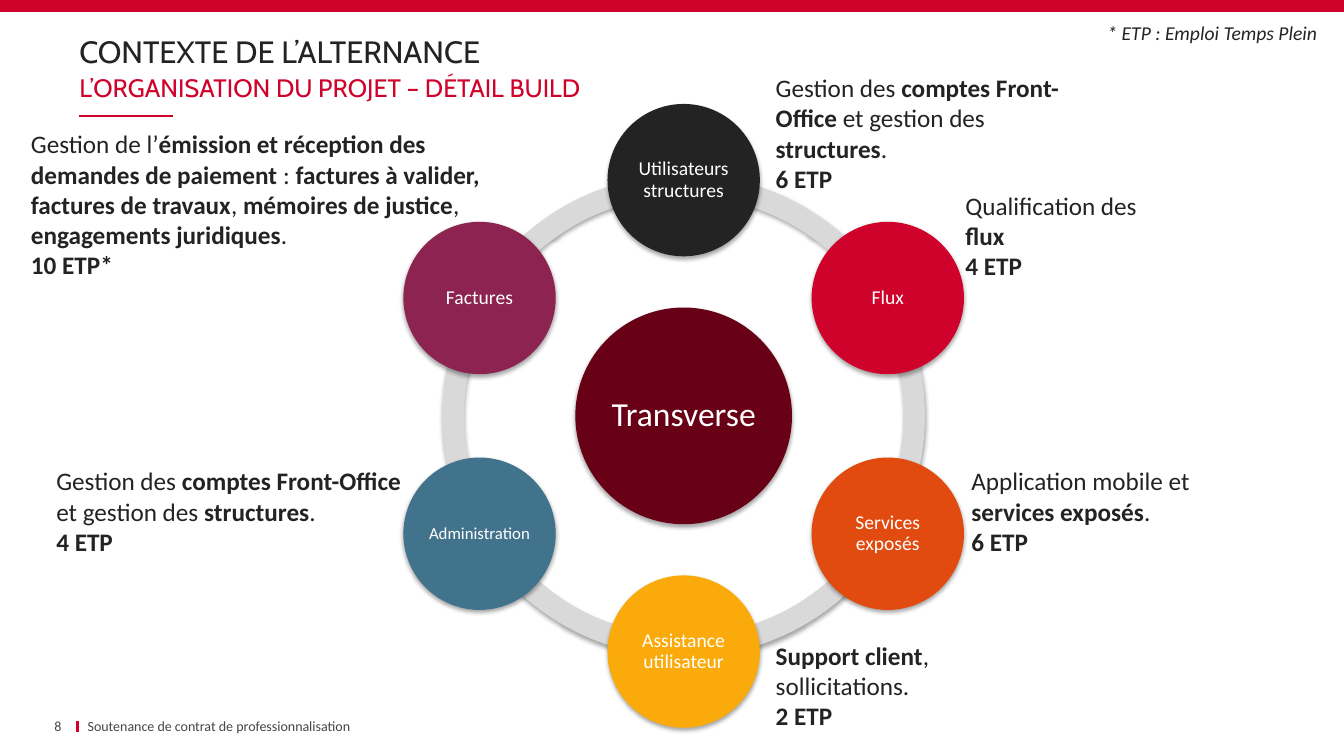
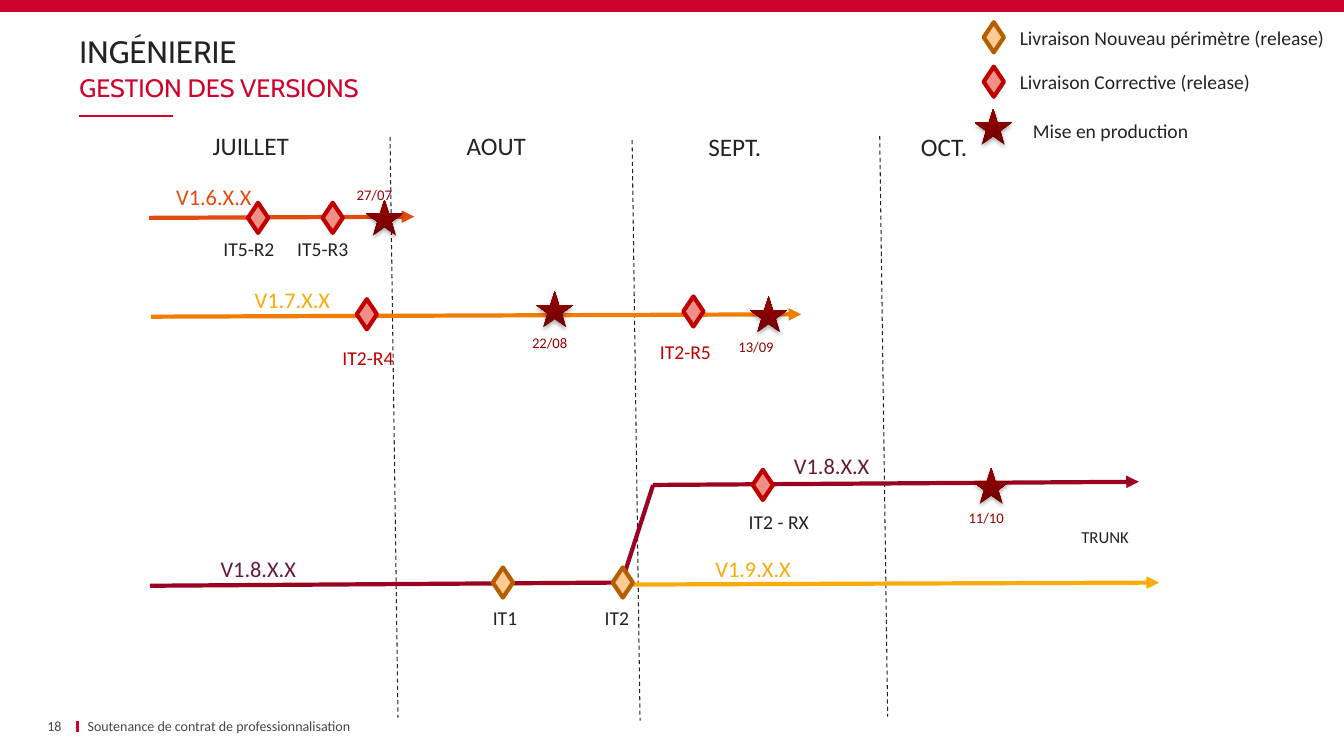
from math import cos, radians, sin

from lxml.etree import SubElement
from pptx import Presentation
from pptx.dml.color import RGBColor
from pptx.enum.dml import MSO_LINE
from pptx.enum.shapes import MSO_CONNECTOR, MSO_SHAPE
from pptx.enum.text import MSO_ANCHOR, MSO_AUTO_SIZE, PP_ALIGN
from pptx.oxml.ns import qn
from pptx.util import Cm, Pt

RED, DARK, GREY, WHITE = "CF022B", "232323", "464646", "FFFFFF"
ORANGE, AMBER, BURGUNDY, PLUM = "E14B0F", "FAAA0A", "9B0120", "691A3C"
CORRECTIVE_LINE, DATE_RED = "C00000", "960000"
HEADING_FONT, TEXT_FONT = "Cabin", "Calibri"


def color(value):
    """Turn a hex string into a colour."""
    return RGBColor.from_string(value)


class Deck:
    """Holds the presentation, its style and the current slide."""

    def __init__(self):
        self.presentation = Presentation()
        self.presentation.slide_width = Cm(33.87)
        self.presentation.slide_height = Cm(19.05)
        self.slide = None

    def new_slide(self, title, subtitle, number):
        """Start a slide with the shared band, headings and footer."""
        layout = self.presentation.slide_layouts[1]
        self.slide = self.presentation.slides.add_slide(layout)
        self.shape(MSO_SHAPE.RECTANGLE, 0, 0, 33.87, 0.3, RED)
        self.line((1.96, 18.16), (1.96, 18.44), RED, 2.25)
        self.line((2, 2.92), (4.37, 2.92), RED, 1)
        heading = self.slide.shapes.title
        self.heading(heading, title, 0.89, 0.91, 22, DARK)
        heading.text_frame.paragraphs[0].line_spacing = 0.9
        body = self.slide.placeholders[1]
        self.heading(body, subtitle, 1.83, 0.76, 18, RED)
        properties = body.text_frame.paragraphs[0]._p.get_or_add_pPr()
        properties.set("marL", "0")
        properties.set("indent", "0")
        SubElement(properties, qn("a:buNone"))
        footer = self.text([["Soutenance de contrat de professionnalisation"]],
                           1.96, 18.06, 16.84, 0.46, 10, GREY)
        page = self.text([[number]], 0.46, 18.06, 1.09, 0.46, 10, GREY)
        page.text_frame.margin_left = page.text_frame.margin_right = 0
        page.text_frame.paragraphs[0].alignment = PP_ALIGN.RIGHT
        for shape in (footer, page):
            shape.text_frame.vertical_anchor = MSO_ANCHOR.MIDDLE

    def run(self, paragraph, text, size, tint, font=TEXT_FONT, bold=False, italic=False):
        """Add one formatted run."""
        run = paragraph.add_run()
        run.text = text
        run.font.name = font
        run.font.size = Pt(size)
        run.font.bold = bold
        run.font.italic = italic
        run.font.color.rgb = color(tint)

    def heading(self, shape, text, top, height, size, tint):
        """Move and fill a heading placeholder."""
        shape.left, shape.top = Cm(2), Cm(top)
        shape.width, shape.height = Cm(29.8), Cm(height)
        frame = shape.text_frame
        frame.auto_size = MSO_AUTO_SIZE.NONE
        frame.vertical_anchor = MSO_ANCHOR.MIDDLE
        frame.margin_left = frame.margin_right = 0
        paragraph = frame.paragraphs[0]
        paragraph.alignment = PP_ALIGN.LEFT
        paragraph.space_before = Pt(0)
        self.run(paragraph, text, size, tint, HEADING_FONT)

    def text(self, lines, left, top, width, height, size, tint=DARK, italic=False):
        """Add a text box whose lines alternate plain and bold runs."""
        box = self.slide.shapes.add_textbox(Cm(left), Cm(top), Cm(width), Cm(height))
        frame = box.text_frame
        frame.word_wrap = True
        for index, parts in enumerate(lines):
            paragraph = frame.add_paragraph() if index else frame.paragraphs[0]
            for position, part in enumerate(parts):
                if part:
                    self.run(paragraph, part, size, tint, bold=position % 2 == 1, italic=italic)
        return box

    def labels(self, items, width, height, size, tint=DARK):
        """Add a family of one-line labels."""
        for text, left, top in items:
            self.text([[text]], left, top, width, height, size, tint)

    def shape(self, kind, left, top, width, height, fill=None):
        """Add a preset shape without line or shadow."""
        shape = self.slide.shapes.add_shape(kind, Cm(left), Cm(top), Cm(width), Cm(height))
        shape.shadow.inherit = False
        shape.line.fill.background()
        if fill:
            shape.fill.solid()
            shape.fill.fore_color.rgb = color(fill)
        return shape

    def shade(self, shape):
        """Give a shape the soft shadow below it."""
        effects = shape._element.spPr.find(qn("a:effectLst"))
        shadow = SubElement(effects, qn("a:outerShdw"), blurRad="40000", dist="23000",
                            dir="5400000", rotWithShape="0")
        black = SubElement(shadow, qn("a:srgbClr"), val="000000")
        SubElement(black, qn("a:alpha"), val="35000")

    def disc(self, text, center, diameter, fill, size):
        """Add a shaded disc with centred text."""
        left, top = (value - diameter / 2 for value in center)
        shape = self.shape(MSO_SHAPE.OVAL, left, top, diameter, diameter, fill)
        self.shade(shape)
        frame = shape.text_frame
        frame.word_wrap = True
        frame.vertical_anchor = MSO_ANCHOR.MIDDLE
        frame.margin_left = frame.margin_right = Cm(0.05)
        frame.margin_top = frame.margin_bottom = Cm(0.05)
        paragraph = frame.paragraphs[0]
        paragraph.alignment = PP_ALIGN.CENTER
        paragraph.line_spacing = 0.9
        self.run(paragraph, text, size, WHITE)

    def line(self, start, end, tint, width=3, arrow=False, dashed=False):
        """Add a straight line or arrow."""
        points = [Cm(value) for value in (*start, *end)]
        connector = self.slide.shapes.add_connector(MSO_CONNECTOR.STRAIGHT, *points)
        connector.line.color.rgb = color(tint)
        connector.line.width = Pt(width)
        if dashed:
            connector.line.dash_style = MSO_LINE.DASH
        if arrow:
            SubElement(connector.line._get_or_add_ln(), qn("a:tailEnd"), type="triangle")
        SubElement(connector._element.spPr, qn("a:effectLst"))

    def diamond(self, left, top, fill, outline):
        """Add a delivery marker."""
        shape = self.shape(MSO_SHAPE.FLOWCHART_DECISION, left, top, 0.51, 0.76, fill)
        shape.line.color.rgb = color(outline)
        shape.line.width = Pt(3)

    def star(self, left, top):
        """Add a production marker."""
        shape = self.shape(MSO_SHAPE.STAR_5_POINT, left, top, 0.94, 0.91)
        shape.fill.gradient()
        shape.fill.gradient_angle = 90
        stops = zip(shape.fill.gradient_stops, (0, 0.8), ("700000", "910000"))
        for stop, position, tint in stops:
            stop.position = position
            stop.color.rgb = color(tint)
        self.shade(shape)


def build_organisation(deck):
    """Build the ring of project teams."""
    deck.new_slide("CONTEXTE DE L’ALTERNANCE", "L’ORGANISATION DU PROJET – DÉTAIL BUILD", "8")
    center_x, center_y, orbit, ring_size = 17.23, 10.48, 5.94, 12.16
    ring = deck.shape(MSO_SHAPE.DONUT, center_x - ring_size / 2, center_y - ring_size / 2,
                      ring_size, ring_size, "D9D9D9")
    ring.adjustments[0] = 0.045
    deck.shade(ring)
    deck.disc("Transverse", (center_x, center_y), 5.46, "680115", 24)
    teams = [
        ("Utilisateurs structures", DARK, 14),
        ("Flux", RED, 14),
        ("Services exposés", ORANGE, 14),
        ("Assistance utilisateur", AMBER, 14),
        ("Administration", "41738C", 12),
        ("Factures", "8C2350", 14),
    ]
    for index, (name, fill, size) in enumerate(teams):
        angle = radians(360 / len(teams) * index)
        center = (center_x + orbit * sin(angle), center_y - orbit * cos(angle))
        deck.disc(name, center, 3.84, fill, size)

    accounts = ["Gestion des ", "comptes Front-Office ", "et gestion des ", "structures", "."]
    invoices = ["Gestion de l’", "émission et réception des demandes de paiement", " : ",
                "factures à valider, factures de travaux", ", ", "mémoires de justice", ", ",
                "engagements juridiques", "."]
    captions = [
        (accounts, "6 ETP", 19.3, 1.7, 7.8, 3.32),
        (["Qualification des ", "flux"], "4 ETP", 24.08, 4.67, 5.2, 2.56),
        (["Application mobile et ", "services exposés", "."], "6 ETP", 24.23, 11.61, 6.8, 2.56),
        (["", "Support client", ", sollicitations."], "2 ETP", 19.3, 16, 7.06, 2.56),
        (accounts, "4 ETP", 1.17, 11.61, 9.37, 2.56),
        (invoices, "10 ETP*", 0.53, 3.12, 12.67, 4.1),
    ]
    for role, staff, *box in captions:
        deck.text([role, ["", staff]], *box, 18)
    deck.text([["* ETP : Emploi Temps Plein"]], 27.66, 0.41, 6.2, 0.86, 14, italic=True)


def build_versions(deck):
    """Build the timeline of versions."""
    deck.new_slide("INGÉNIERIE", "GESTION DES VERSIONS", "18")
    for left, top in [(9.83, 3.45), (15.93, 3.53), (22.17, 3.43)]:
        deck.line((left, top), (left + 0.2, top + 14.63), DARK, 0.75, dashed=True)
    fork = (16.46, 12.22)
    branches = [
        ((3.76, 5.49), (10.44, 5.46), ORANGE, True),
        ((3.81, 7.98), (20.19, 7.92), "F07D00", True),
        ((3.78, 14.76), (15.54, 14.68), BURGUNDY, False),
        (fork, (15.67, 14.66), BURGUNDY, False),
        (fork, (28.7, 12.14), BURGUNDY, True),
        ((15.93, 14.73), (29.21, 14.68), AMBER, True),
    ]
    for start, end, tint, arrow in branches:
        deck.line(start, end, tint, arrow=arrow)

    deck.labels([("JUILLET", 5.11, 3.15), ("AOUT", 11.51, 3.15),
                 ("SEPT.", 17.6, 3.18), ("OCT.", 22.96, 3.18)], 3.9, 1.27, 18)
    versions = [
        (ORANGE, [("V1.6.X.X", 4.19, 4.5)]),
        (AMBER, [("V1.7.X.X", 6.17, 7.09), ("V1.9.X.X", 17.78, 13.87)]),
        (PLUM, [("V1.8.X.X", 5.31, 13.87), ("V1.8.X.X", 19.76, 11.28)]),
    ]
    for tint, items in versions:
        deck.labels(items, 2.6, 0.94, 16, tint)
    deck.labels([("IT5-R2", 5.38, 5.84), ("IT5-R3", 7.24, 5.84), ("IT2 - RX", 18.62, 12.73),
                 ("IT1", 12.17, 15.14), ("IT2", 14.99, 15.14)], 2.2, 0.86, 14)
    deck.labels([("IT2-R4", 8.38, 8.59), ("IT2-R5", 16.38, 8.43)],
                2.2, 0.86, 14, CORRECTIVE_LINE)
    deck.labels([("27/07", 8.74, 4.55), ("22/08", 13.16, 8.28),
                 ("13/09", 18.36, 8.38), ("11/10", 24.16, 12.7)], 1.7, 0.71, 10.5, DATE_RED)
    deck.labels([("TRUNK", 27, 13.16)], 2.2, 0.76, 12)
    deck.labels([("Livraison Nouveau périmètre (release)", 25.45, 0.53),
                 ("Livraison Corrective (release)", 25.45, 1.63),
                 ("Mise en production", 25.78, 2.87)], 8.4, 0.86, 14)

    for position in [(24.79, 0.56), (12.42, 14.3), (15.44, 14.3)]:
        deck.diamond(*position, "FFCB93", "B45E00")
    for position in [(24.79, 1.68), (6.25, 5.11), (8.13, 5.11), (8.99, 7.54),
                     (17.22, 7.47), (18.97, 11.84)]:
        deck.diamond(*position, "F08F88", CORRECTIVE_LINE)
    for position in [(24.56, 2.74), (9.22, 5.03), (13.51, 7.34), (18.9, 7.47), (24.51, 11.79)]:
        deck.star(*position)


def main():
    """Build and save the presentation."""
    deck = Deck()
    build_organisation(deck)
    build_versions(deck)
    deck.presentation.save("out.pptx")


if __name__ == "__main__":
    main()
